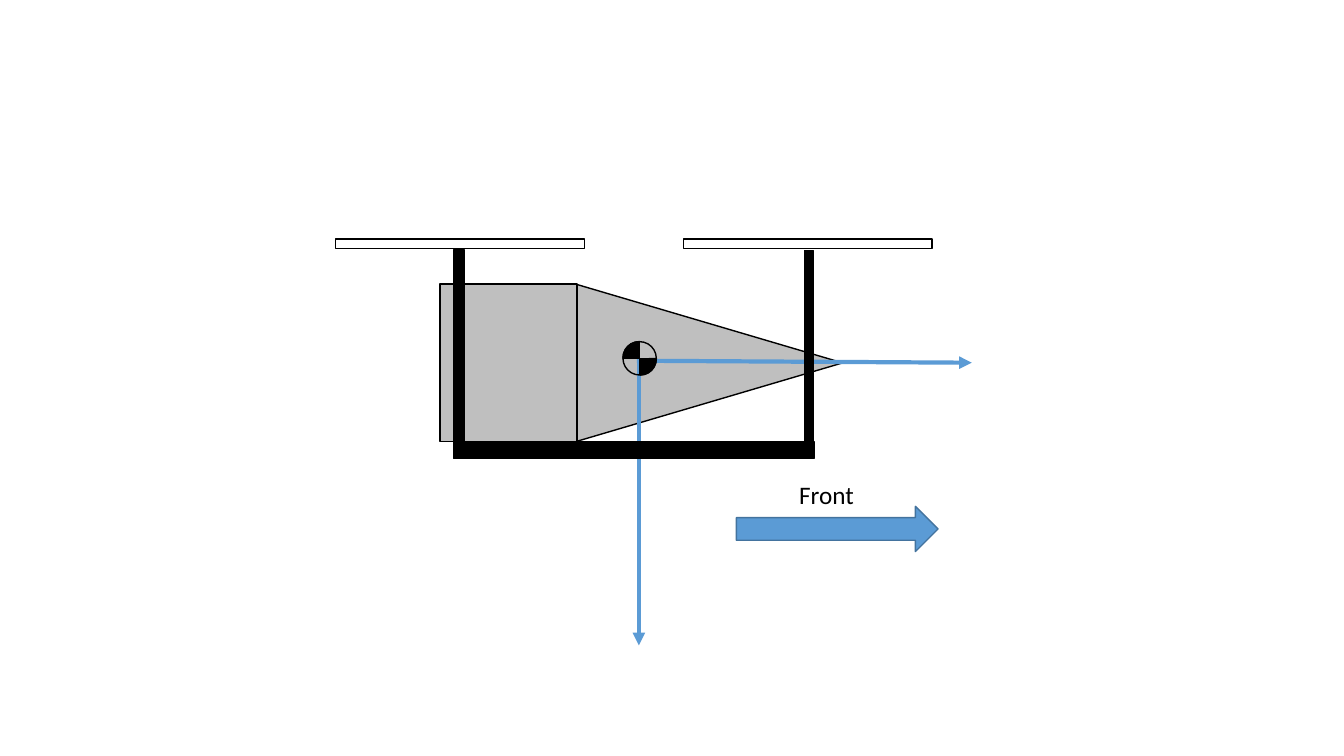
from dataclasses import dataclass

from lxml import etree
from pptx import Presentation
from pptx import util as u
from pptx.dml import color
from pptx.enum import shapes, text
from pptx.oxml import ns


@dataclass(frozen=True)
class Theme:
    black: str = "000000"
    body: str = "BFBFBF"
    blue: str = "5B9BD5"
    blue_edge: str = "43739E"
    font: str = "Calibri"
    label_size: int = 18
    outline: float = 1
    hairline: float = 0.5
    axis_width: float = 3


theme = Theme()
preset = shapes.MSO_SHAPE


def add_part(parent, kind, box, fill=None, edge=theme.black):
    part = parent.shapes.add_shape(kind, *[u.Cm(length) for length in box])
    part.shadow.inherit = False
    if fill:
        part.fill.solid()
        part.fill.fore_color.rgb = color.RGBColor.from_string(fill)
    else:
        part.fill.background()
    part.line.color.rgb = color.RGBColor.from_string(edge)
    part.line.width = u.Pt(theme.outline)
    return part


def add_line(parent, ends, ink, width, arrow=False):
    line = parent.shapes.add_connector(
        shapes.MSO_CONNECTOR.STRAIGHT, *[u.Cm(length) for length in ends])
    line.line.color.rgb = color.RGBColor.from_string(ink)
    line.line.width = u.Pt(width)
    if arrow:
        etree.SubElement(line.line._get_or_add_ln(), ns.qn("a:tailEnd"), type="triangle")
    etree.SubElement(line._element.spPr, ns.qn("a:effectLst"))


deck = Presentation()
deck.slide_width, deck.slide_height = u.Cm(33.87), u.Cm(19.05)
slide = deck.slides.add_slide(deck.slide_layouts[6])

nose = add_part(slide, preset.ISOSCELES_TRIANGLE, (15.9, 5.79, 3.96, 6.71), theme.body)
nose.rotation = 90
add_part(slide, preset.RECTANGLE, (11.09, 7.16, 3.45, 3.96), theme.body)
add_part(slide, preset.RIGHT_ARROW, (18.56, 12.76, 5.08, 1.14), theme.blue, theme.blue_edge)

for axis in [(16.1, 9.14, 16.1, 16.26), (16.05, 9.09, 24.49, 9.14)]:
    add_line(slide, axis, theme.blue, theme.axis_width, arrow=True)

left, top, size = 15.7, 8.61, 0.84
middle_x, middle_y = left + size / 2, top + size / 2
mass_center = slide.shapes.add_group_shape()
add_part(mass_center, preset.OVAL, (left, top, size, size))
for crosshair in [(middle_x, top, middle_x, top + size),
                  (left, middle_y, left + size, middle_y)]:
    add_line(mass_center, crosshair, theme.black, theme.hairline)
for offset, turn in [(0, 0), (0.03, 180)]:
    quadrant = add_part(mass_center, preset.PIE,
                        (left + offset, top + offset, 0.81, 0.81), theme.black)
    quadrant.adjustments[0] = 106.9
    quadrant.adjustments[1] = 162
    quadrant.rotation = turn

front = slide.shapes.add_textbox(u.Cm(19.89), u.Cm(11.96), u.Cm(1.91), u.Cm(1.02))
front.text_frame.word_wrap = False
front.text_frame.auto_size = text.MSO_AUTO_SIZE.SHAPE_TO_FIT_TEXT
label = front.text_frame.paragraphs[0].add_run()
label.text = "Front"
label.font.name = theme.font
label.font.size = u.Pt(theme.label_size)
label.font.color.rgb = color.RGBColor.from_string(theme.black)

for rotor_left in (8.46, 17.22):
    add_part(slide, preset.RECTANGLE, (rotor_left, 6.02, 6.27, 0.25))

rear_mast = (11.43, 6.3, 0.28, 4.85)
front_mast = (20.27, 6.32, 0.23, 4.83)
skid = (11.43, 11.13, 9.09, 0.43)
for beam in (rear_mast, front_mast, skid):
    add_part(slide, preset.RECTANGLE, beam, theme.black)

deck.save("out.pptx")
